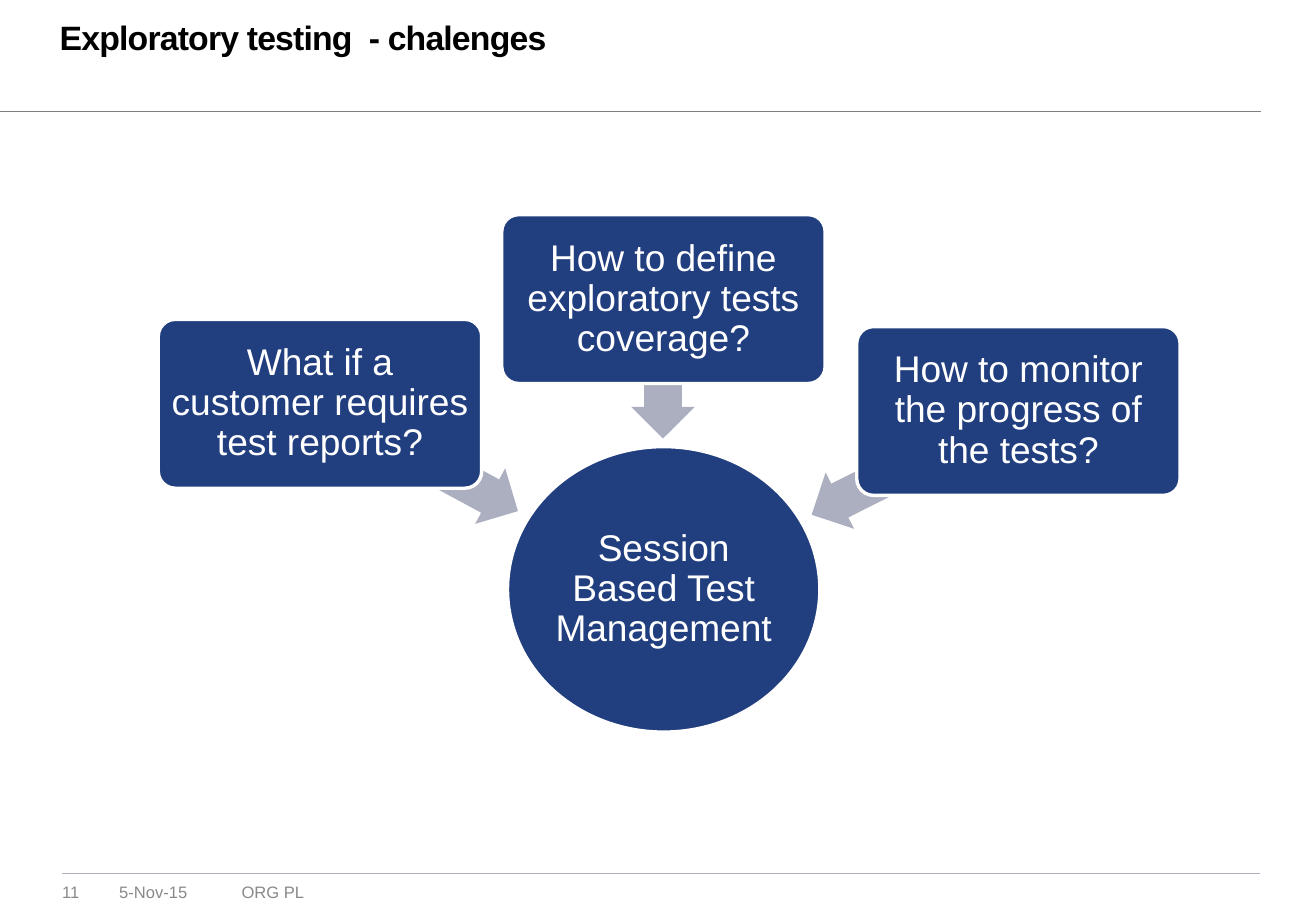
from dataclasses import dataclass

from lxml.etree import SubElement
from pptx import Presentation
from pptx.dml.color import RGBColor
from pptx.enum.shapes import MSO_CONNECTOR, MSO_SHAPE
from pptx.enum.text import MSO_ANCHOR, PP_ALIGN
from pptx.oxml.ns import qn
from pptx.slide import Slide
from pptx.text.text import TextFrame
from pptx.util import Cm, Pt

NAVY = "213E7F"
ARROW_GRAY = "ACAFC0"
HEADER_GRAY = "7F7F7F"
FOOTER_GRAY = "898989"
WHITE = "FFFFFF"
BLACK = "000000"
BOX_WIDTH, BOX_HEIGHT = 6.76, 3.53
ARROW_HEIGHT = 1.32


@dataclass(frozen=True)
class Question:
    text: str
    left: float
    top: float
    arrow_left: float
    arrow_top: float
    arrow_length: float
    arrow_rotation: float


@dataclass(frozen=True)
class Label:
    text: str
    left: float
    top: float
    width: float
    height: float
    size: float
    color: str
    bold: bool = False
    line_spacing: float | None = None
    tracking: int = 0


@dataclass(frozen=True)
class Rule:
    left: float
    right: float
    top: float
    color: str


QUESTIONS = [
    Question("What if a customer requires test reports?", 3.31, 6.68, 6.41, 8.91, 4.7, 208.4),
    Question("How to define exploratory tests coverage?", 10.49, 4.49, 12.4, 7.05, 2.92, 270),
    Question("How to monitor the progress of the tests?", 17.91, 6.83, 16.71, 9.02, 4.83, 333.3),
]
LABELS = [
    Label("Exploratory testing  - chalenges", 1.25, 0.44, 25.22, 0.79, 20, BLACK, True, 21.7, -50),
    Label("11", 1.3, 18.44, 0.99, 0.41, 9.8, FOOTER_GRAY),
    Label("5-Nov-15", 2.49, 18.44, 2.26, 0.41, 9.8, FOOTER_GRAY),
    Label("ORG PL", 5.05, 18.44, 3.58, 0.41, 9.8, FOOTER_GRAY),
]
RULES = [Rule(1.3, 26.34, 18.26, ARROW_GRAY), Rule(0, 26.36, 2.33, HEADER_GRAY)]


def rgb(color: str) -> RGBColor:
    return RGBColor.from_string(color)


def set_margins(frame: TextFrame, margin: float) -> None:
    frame.margin_left = frame.margin_right = Cm(margin)
    frame.margin_top = frame.margin_bottom = Cm(margin)


def write(frame: TextFrame, text: str, size: float, color: str, margin: float):
    frame.word_wrap = True
    set_margins(frame, margin)
    frame.text = text
    paragraph = frame.paragraphs[0]
    font = paragraph.runs[0].font
    font.name = "Arial"
    font.size = Pt(size)
    font.color.rgb = rgb(color)
    return paragraph


def add_rule(slide: Slide, rule: Rule) -> None:
    line = slide.shapes.add_connector(
        MSO_CONNECTOR.STRAIGHT, Cm(rule.left), Cm(rule.top), Cm(rule.right), Cm(rule.top)
    )
    line.line.color.rgb = rgb(rule.color)
    line.line.width = Pt(0.25)
    SubElement(line._element.spPr, qn("a:effectLst"))


def add_label(slide: Slide, label: Label) -> None:
    box = slide.shapes.add_textbox(
        Cm(label.left), Cm(label.top), Cm(label.width), Cm(label.height)
    )
    paragraph = write(box.text_frame, label.text, label.size, label.color, 0)
    run = paragraph.runs[0]
    run.font.bold = label.bold
    if label.line_spacing:
        paragraph.line_spacing = Pt(label.line_spacing)
    if label.tracking:
        run.font._element.set("spc", str(label.tracking))


def add_filled(slide: Slide, kind: MSO_SHAPE, left: float, top: float,
               width: float, height: float, color: str):
    shape = slide.shapes.add_shape(kind, Cm(left), Cm(top), Cm(width), Cm(height))
    shape.shadow.inherit = False
    shape.fill.solid()
    shape.fill.fore_color.rgb = rgb(color)
    shape.line.fill.background()
    return shape


def add_node(slide: Slide, kind: MSO_SHAPE, text: str, left: float, top: float,
             width: float, height: float, margin: float):
    node = add_filled(slide, kind, left, top, width, height, NAVY)
    node.line.color.rgb = rgb(WHITE)
    node.line.width = Pt(2)
    paragraph = write(node.text_frame, text, 22, WHITE, margin)
    paragraph.alignment = PP_ALIGN.CENTER
    paragraph.line_spacing = 0.9
    node.text_frame.vertical_anchor = MSO_ANCHOR.MIDDLE
    return node


def add_question(slide: Slide, question: Question) -> None:
    arrow = add_filled(slide, MSO_SHAPE.LEFT_ARROW, question.arrow_left, question.arrow_top,
                       question.arrow_length, ARROW_HEIGHT, ARROW_GRAY)
    arrow.adjustments[0] = 0.6
    arrow.adjustments[1] = 0.5
    arrow.rotation = question.arrow_rotation
    box = add_node(slide, MSO_SHAPE.ROUNDED_RECTANGLE, question.text, question.left,
                   question.top, BOX_WIDTH, BOX_HEIGHT, 0.12)
    box.adjustments[0] = 0.1


def main() -> None:
    presentation = Presentation()
    presentation.slide_width = Cm(27.51)
    presentation.slide_height = Cm(19.05)
    slide = presentation.slides.add_slide(presentation.slide_layouts[6])
    for rule in RULES:
        add_rule(slide, rule)
    for label in LABELS:
        add_label(slide, label)
    add_node(slide, MSO_SHAPE.OVAL, "Session Based Test Management",
             10.61, 9.34, 6.53, 5.97, 0)
    for question in QUESTIONS:
        add_question(slide, question)
    presentation.save("out.pptx")


if __name__ == "__main__":
    main()
